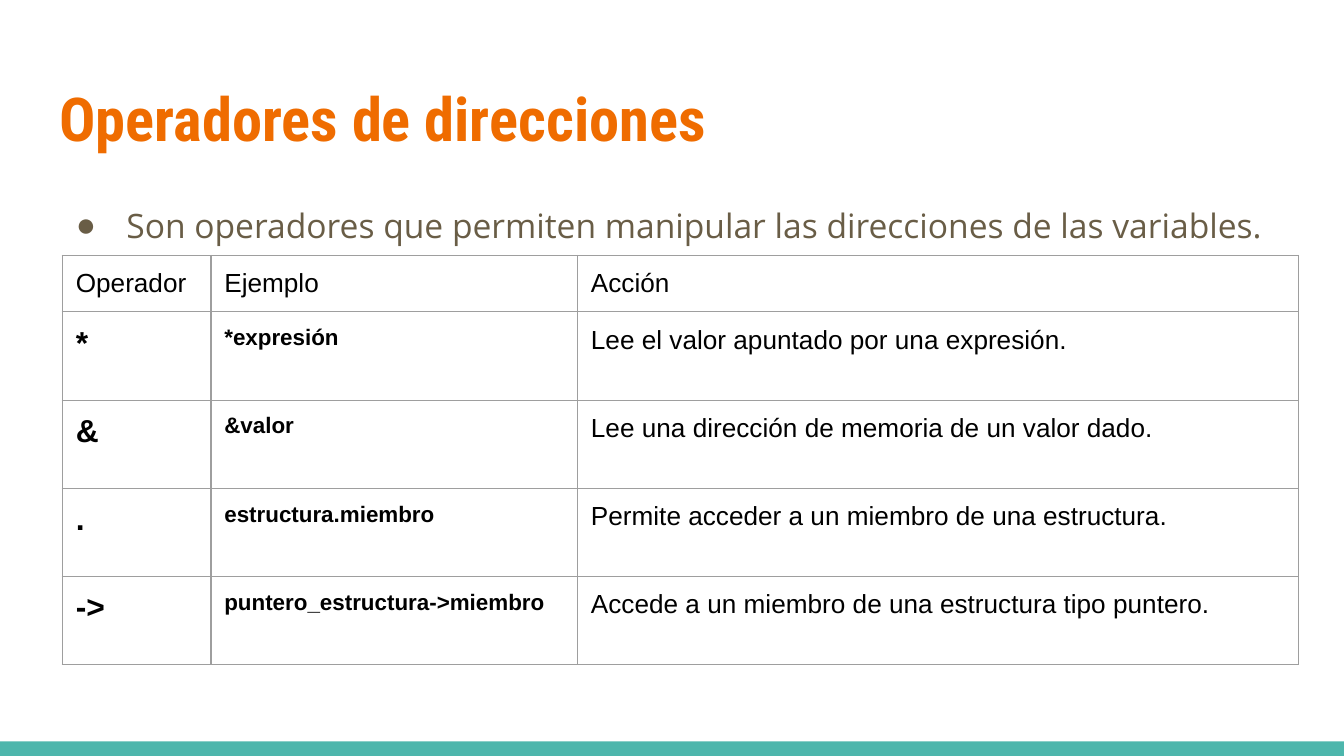
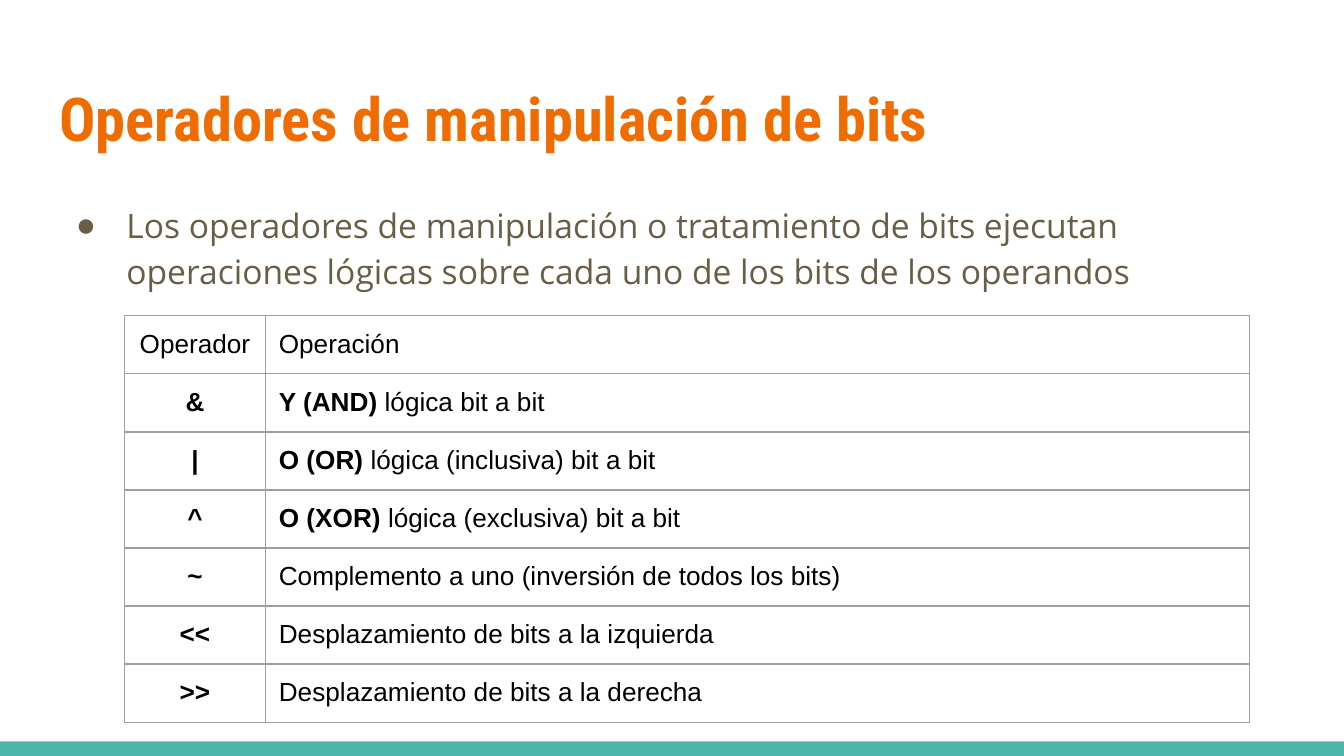
from lxml import etree
from pptx import Presentation
from pptx import util as u
from pptx.dml import color
from pptx.enum import shapes, text
from pptx.oxml import ns

COLORS = {"band": "4DB6AC", "title": "EF6C00", "body": "695D46",
          "border": "9E9E9E", "cell": "000000"}
FONTS = {"title": "Roboto Condensed", "body": "Open Sans", "cell": "Arial"}
WIDTH, HEIGHT = 720, 405
BAND_HEIGHT = 7.8
INSET = 7.2

# A cell is a list of runs: (text, size, bold)
def plain(words):
    return [(words, 14, False)]


def bold(words, size=14):
    return [(words, size, True)]


ADDRESS_OPERATORS = [
    ("*", "*expresión", "Lee el valor apuntado por una expresión."),
    ("&", "&valor", "Lee una dirección de memoria de un valor dado."),
    (".", "estructura.miembro", "Permite acceder a un miembro de una estructura."),
    ("->", "puntero_estructura->miembro",
     "Accede a un miembro de una estructura tipo puntero."),
]
BIT_OPERATORS = [
    ("&", bold("Y (AND) ") + plain("lógica bit a bit")),
    ("|", bold("O (OR)") + plain(" lógica (inclusiva) bit a bit")),
    ("^", bold("O (XOR)") + plain(" lógica (exclusiva) bit a bit")),
    ("~", plain("Complemento a uno (inversión de todos los bits)")),
    ("<<", plain("Desplazamiento de bits a la izquierda")),
    (">>", plain("Desplazamiento de bits a la derecha")),
]
SLIDES = [
    {
        "title": "Operadores de direcciones",
        "bullet": "Son operadores que permiten manipular las direcciones de las variables.",
        "table": {
            "left": 33.4, "top": 136.9, "columns": [79.6, 196.4, 386.4],
            "header_height": 29.8, "row_height": 47.3, "center_first": False,
            "rows": [[plain("Operador"), plain("Ejemplo"), plain("Acción")]]
            + [[bold(operator, 17), bold(example, 12), plain(action)]
               for operator, example, action in ADDRESS_OPERATORS],
        },
    },
    {
        "title": "Operadores de manipulación de bits",
        "bullet": "Los operadores de manipulación o tratamiento de bits ejecutan "
                  "operaciones lógicas sobre cada uno de los bits de los operandos",
        "table": {
            "left": 66.7, "top": 169.2, "columns": [75.5, 527.2],
            "header_height": 31.1, "row_height": 31.1, "center_first": True,
            "rows": [[plain("Operador"), plain("Operación")]]
            + [[bold(operator), operation] for operator, operation in BIT_OPERATORS],
        },
    },
]


def rgb(name):
    return color.RGBColor.from_string(COLORS[name])


def add_run(paragraph, words, size, is_bold, role):
    run = paragraph.add_run()
    run.text = words
    run.font.size = u.Pt(size)
    run.font.bold = is_bold
    run.font.name = FONTS[role]
    run.font.color.rgb = rgb(role)


def add_band(slide):
    """Draw the bottom band behind everything else."""
    band = slide.shapes.add_shape(
        shapes.MSO_SHAPE.RECTANGLE, 0, u.Pt(HEIGHT - BAND_HEIGHT),
        u.Pt(WIDTH), u.Pt(BAND_HEIGHT))
    band.shadow.inherit = False
    band.fill.solid()
    band.fill.fore_color.rgb = rgb("band")
    band.line.fill.background()
    slide.shapes[0].element.addprevious(band.element)


def fill_placeholder(shape, top, height, words, size, is_bold, role, anchor):
    shape.left, shape.top = u.Pt(24.5), u.Pt(top)
    shape.width, shape.height = u.Pt(671), u.Pt(height)
    frame = shape.text_frame
    frame.margin_left = frame.margin_right = u.Pt(INSET)
    frame.margin_top = frame.margin_bottom = u.Pt(INSET)
    frame.auto_size = text.MSO_AUTO_SIZE.NONE
    frame.word_wrap = True
    frame.vertical_anchor = anchor
    paragraph = frame.paragraphs[0]
    paragraph.alignment = text.PP_ALIGN.LEFT
    paragraph.space_before = u.Pt(0)
    add_run(paragraph, words, size, is_bold, role)
    return paragraph


def add_bullet(paragraph):
    paragraph.line_spacing = 1.15
    properties = paragraph._p.get_or_add_pPr()
    properties.set("marL", str(u.Pt(36)))
    properties.set("indent", str(-u.Pt(27)))
    bullet_color = etree.SubElement(properties, ns.qn("a:buClr"))
    etree.SubElement(bullet_color, ns.qn("a:srgbClr"), val=COLORS["body"])
    etree.SubElement(properties, ns.qn("a:buChar"), char="●")


def add_borders(cell):
    properties = cell._tc.get_or_add_tcPr()
    for side in ("lnL", "lnR", "lnT", "lnB"):
        line = etree.SubElement(properties, ns.qn(f"a:{side}"), w=str(u.Pt(0.75)))
        fill = etree.SubElement(line, ns.qn("a:solidFill"))
        etree.SubElement(fill, ns.qn("a:srgbClr"), val=COLORS["border"])


def add_operator_table(slide, left, top, columns, header_height, row_height,
                       center_first, rows):
    heights = [header_height] + [row_height] * (len(rows) - 1)
    table = slide.shapes.add_table(
        len(rows), len(columns), u.Pt(left), u.Pt(top),
        u.Pt(sum(columns)), u.Pt(sum(heights))).table
    table.first_row = table.horz_banding = False
    for column, width in zip(table.columns, columns):
        column.width = u.Pt(width)
    for row, height, contents in zip(table.rows, heights, rows):
        row.height = u.Pt(height)
        for index, (cell, runs) in enumerate(zip(row.cells, contents)):
            cell.margin_left = cell.margin_right = u.Pt(INSET)
            cell.margin_top = cell.margin_bottom = u.Pt(INSET)
            add_borders(cell)
            cell.fill.background()
            paragraph = cell.text_frame.paragraphs[0]
            if center_first and index == 0:
                paragraph.alignment = text.PP_ALIGN.CENTER
            for words, size, is_bold in runs:
                add_run(paragraph, words, size, is_bold, "cell")


def main():
    presentation = Presentation()
    presentation.slide_width, presentation.slide_height = u.Pt(WIDTH), u.Pt(HEIGHT)
    for content in SLIDES:
        slide = presentation.slides.add_slide(presentation.slide_layouts[1])
        add_band(slide)
        fill_placeholder(slide.shapes.title, 35.3, 55.4, content["title"],
                         32.4, True, "title", text.MSO_ANCHOR.MIDDLE)
        bullet = fill_placeholder(slide.placeholders[1], 99.4, 260, content["bullet"],
                                  18, False, "body", text.MSO_ANCHOR.TOP)
        add_bullet(bullet)
        add_operator_table(slide, **content["table"])
    presentation.save("out.pptx")


if __name__ == "__main__":
    main()
